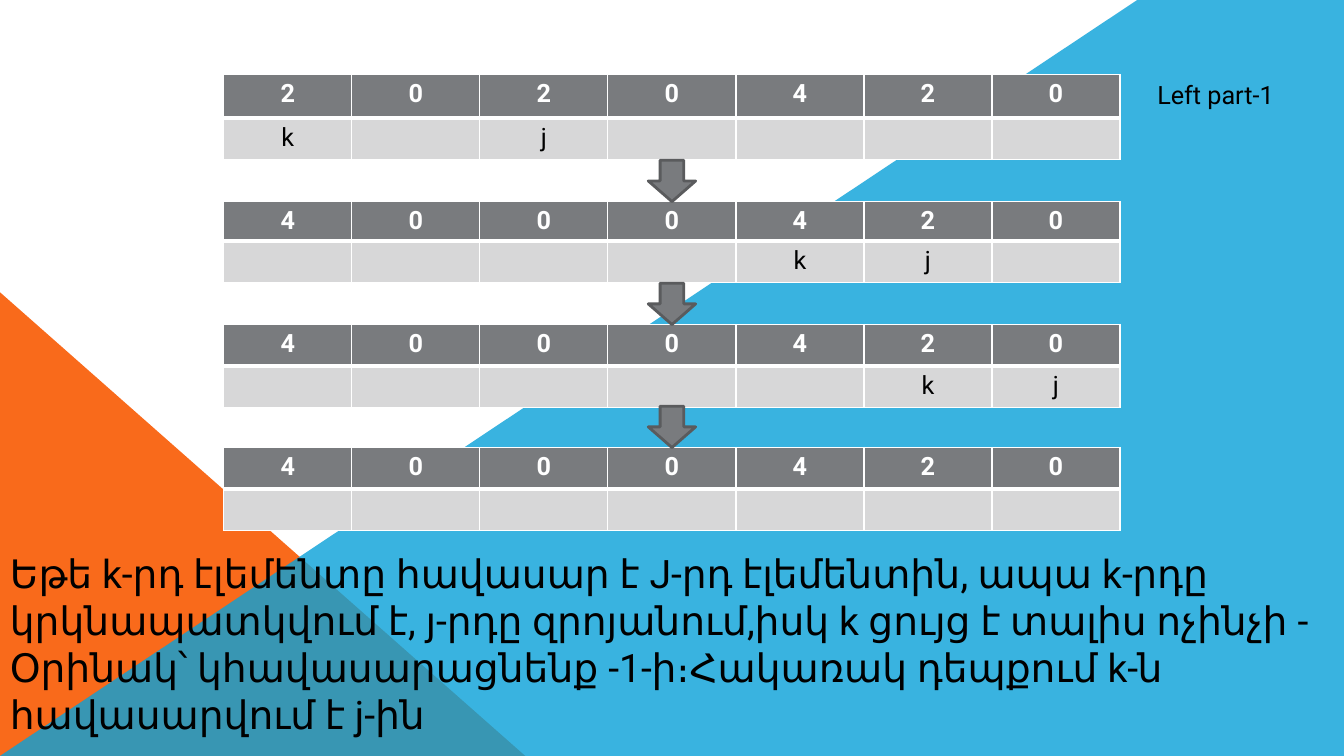
from lxml.etree import SubElement
from pptx import Presentation
from pptx.dml.color import RGBColor
from pptx.enum.shapes import MSO_SHAPE as Shape
from pptx.enum.text import PP_ALIGN as Align
from pptx.oxml.ns import qn
from pptx.util import Inches, Pt

COLORS = {"orange": "F96A1B", "blue": "08A1D9", "header": "797B7E", "marker": "D7D7D8",
          "outline": "5A5B5D", "white": "FFFFFF", "black": "000000"}
WIDTH, HEIGHT = Inches(13.33), Inches(7.5)
COLUMN = Inches(1.27)
LEFT = (WIDTH - 7 * COLUMN) // 2
ROW = Inches(0.41)
STEP = 3 * ROW - Inches(0.01)  # two table rows and one arrow
FIRST_TOP, SECOND_TOP = Inches(0.74), Inches(2)

# Header values, marker columns, header row height
STATES = [
    ("2020420", {0: "k", 2: "j"}, Inches(0.43)),
    ("4000420", {4: "k", 5: "j"}, Inches(0.39)),
    ("4000420", {5: "k", 6: "j"}, ROW),
    ("4000420", {}, ROW),
]
RULE = ("Եթե k-րդ էլեմենտը հավասար է J-րդ էլեմենտին, ապա k-րդը կրկնապատկվում է, "
        "յ-րդը զրոյանում,իսկ k ցույց է տալիս ոչինչի - Օրինակ՝ կհավասարացնենք "
        "-1-ի։Հակառակ դեպքում k-ն հավասարվում է j-ին")


def write(frame, text, size, color, bold=False, align=Align.LEFT):
    """Put one formatted paragraph into a text frame."""
    frame.text = text
    para = frame.paragraphs[0]
    para.alignment = align
    for span in para.runs:
        span.font.name, span.font.size, span.font.bold = "Roboto", Pt(size), bold
        span.font.color.rgb = RGBColor.from_string(COLORS[color])


def paint(item, color):
    """Fill a shape or a cell with one solid colour."""
    item.fill.solid()
    item.fill.fore_color.rgb = RGBColor.from_string(COLORS[color])


deck = Presentation()
deck.slide_width, deck.slide_height = WIDTH, HEIGHT
page = deck.slides.add_slide(deck.slide_layouts[6])
shapes = page.shapes

# Background triangle and translucent diagonal panel
triangle = shapes.add_shape(Shape.RIGHT_TRIANGLE, 0, Inches(2.9), Inches(5.21), HEIGHT - Inches(2.9))
outline = shapes.build_freeform(0, HEIGHT, scale=1.0)
outline.add_line_segments([(Inches(11.28), 0), (WIDTH, 0), (WIDTH, HEIGHT)], close=True)
panel = outline.convert_to_shape()
for backdrop, color in ((triangle, "orange"), (panel, "blue")):
    paint(backdrop, color)
    backdrop.line.fill.background()
    backdrop.shadow.inherit = False
tint = panel.fill._xPr.find(qn("a:solidFill"))[0]
SubElement(tint, qn("a:alpha"), val="80000")

# Array states, one table each, with an arrow leading to the next
for number, (values, markers, header_height) in enumerate(STATES):
    top = SECOND_TOP + (number - 1) * STEP if number else FIRST_TOP
    table = shapes.add_table(2, 7, LEFT, top, 7 * COLUMN, header_height + ROW).table
    table.horz_banding = False
    table.rows[0].height, table.rows[1].height = header_height, ROW
    for index, value in enumerate(values):
        table.columns[index].width = COLUMN
        header, marker = table.cell(0, index), table.cell(1, index)
        for cell, top_width, bottom_width in ((header, 1, 3), (marker, 3, 1)):
            properties = cell._tc.get_or_add_tcPr()
            for side, points in zip("LRTB", (1, 1, top_width, bottom_width)):
                border = SubElement(properties, qn(f"a:ln{side}"), w=str(Pt(points)))
                fill = SubElement(border, qn("a:solidFill"))
                SubElement(fill, qn("a:srgbClr"), val=COLORS["white"])
        paint(header, "header")
        paint(marker, "marker")
        write(header.text_frame, value, 18, "white", True, Align.CENTER)
        if index in markers:
            write(marker.text_frame, markers[index], 18, "black", False, Align.CENTER)
    if number:
        arrow_width = Inches(0.47)
        arrow = shapes.add_shape(Shape.DOWN_ARROW, (WIDTH - arrow_width) // 2, top - ROW, arrow_width, ROW)
        paint(arrow, "header")
        arrow.line.color.rgb = RGBColor.from_string(COLORS["outline"])
        arrow.line.width = Pt(2)
        arrow.shadow.inherit = False

# Caption and rule
caption = shapes.add_textbox(Inches(11.38), FIRST_TOP, Inches(1.74), Inches(0.4))
rule = shapes.add_textbox(0, Inches(5.4), WIDTH, Inches(1.99))
for box, text, size in ((caption, "Left part-1", 18), (rule, RULE, 28)):
    box.text_frame.word_wrap = True
    write(box.text_frame, text, size, "black")

deck.save("out.pptx")
